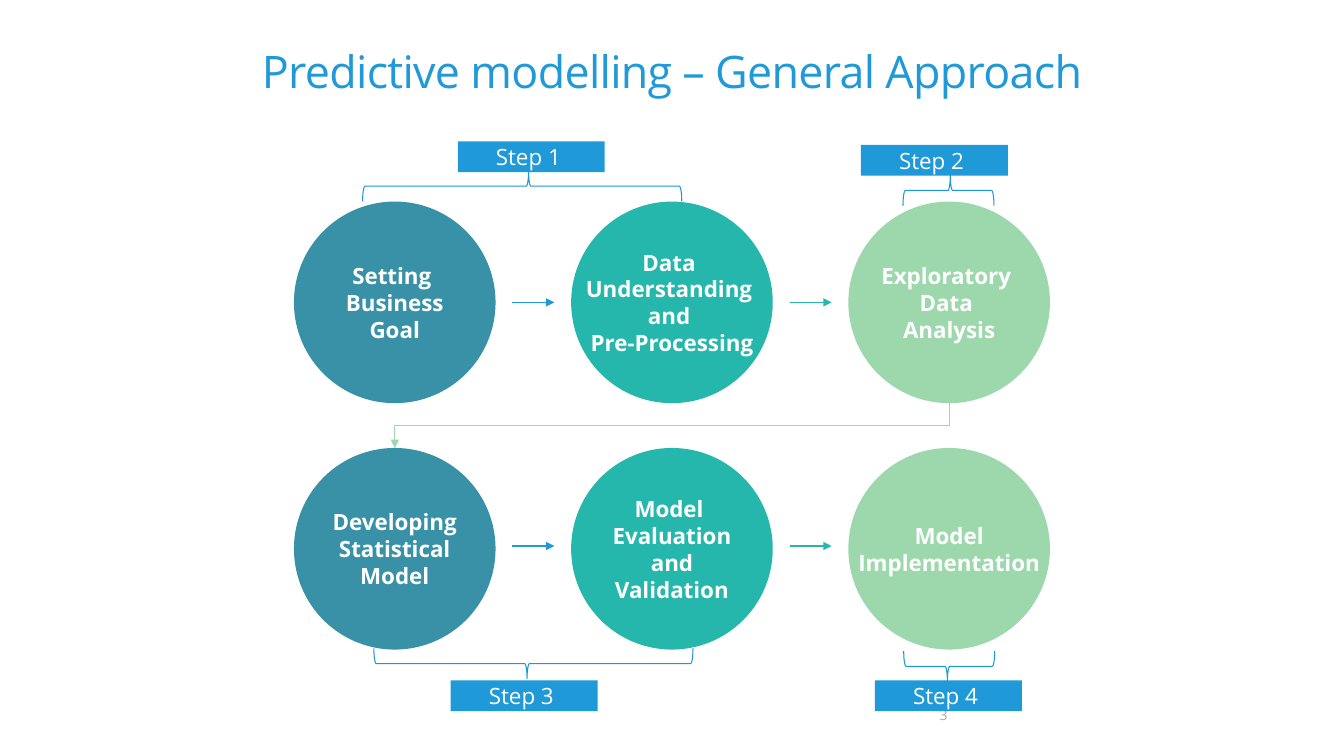
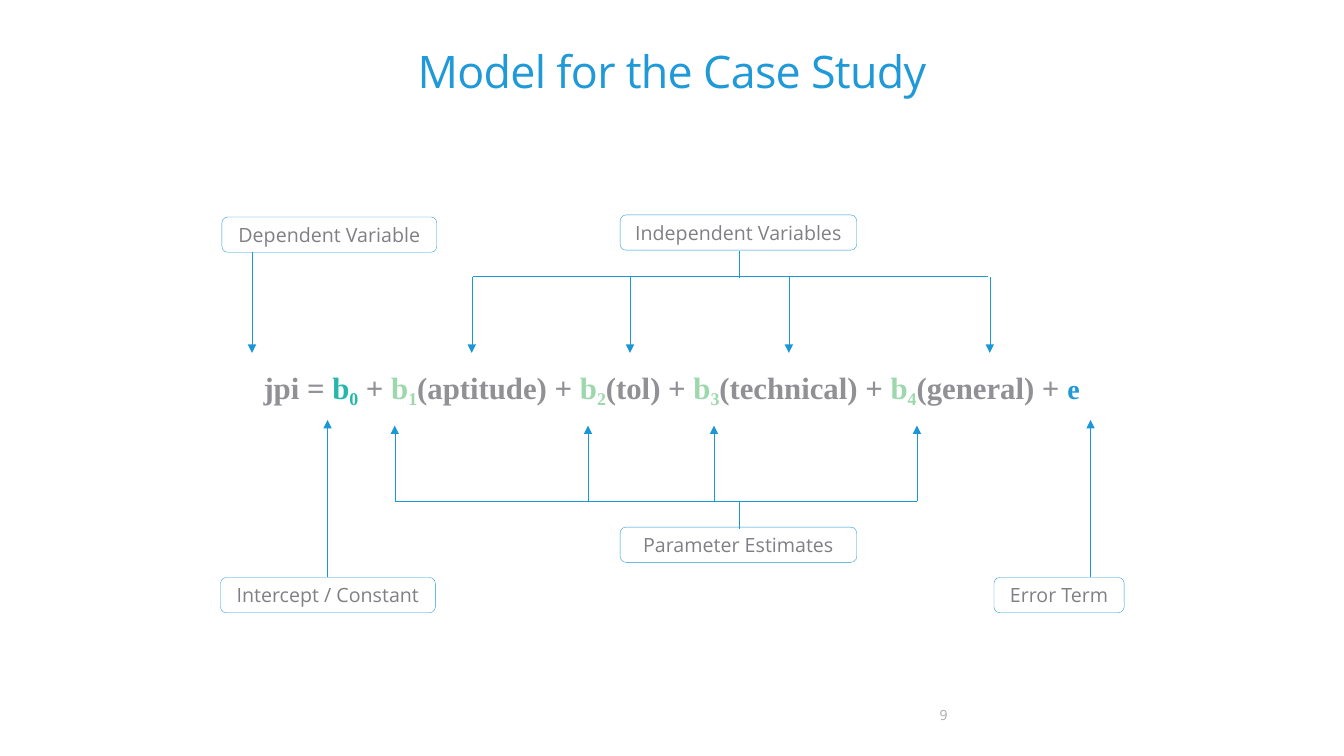
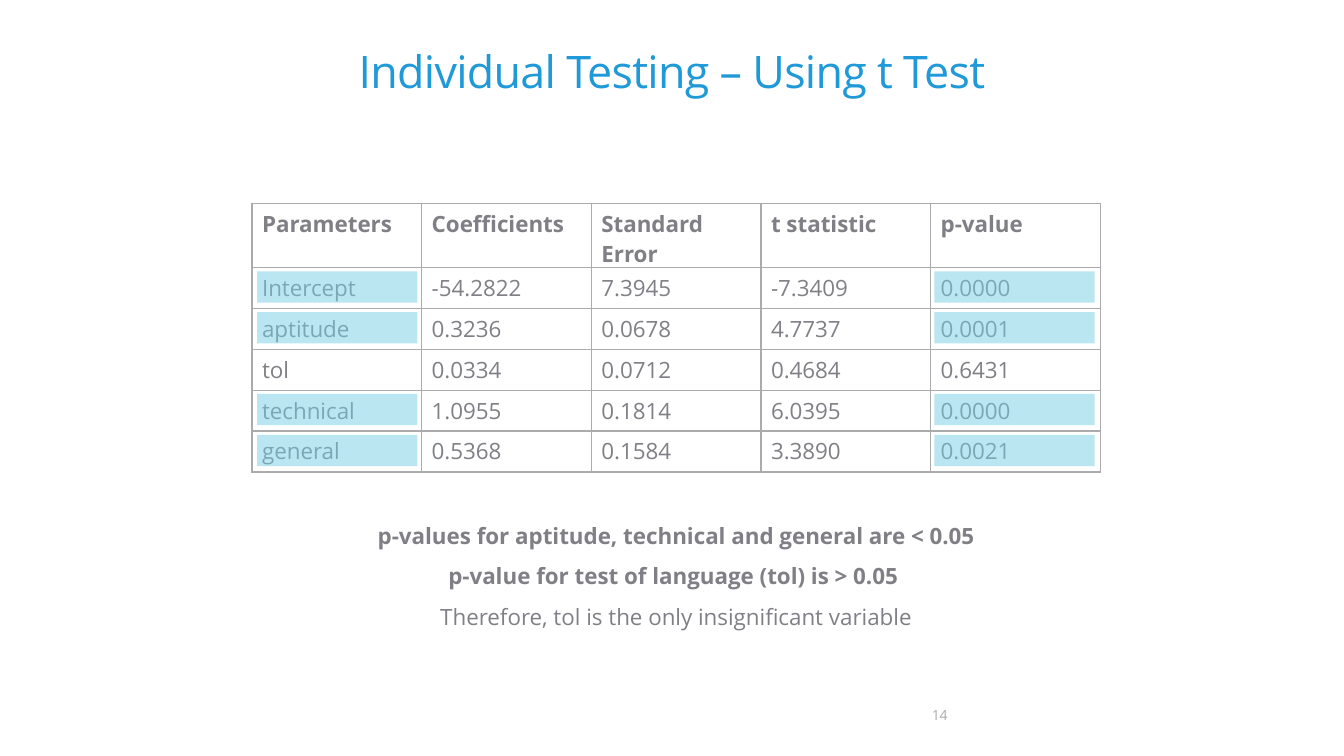
"""Builds three slides on predictive modelling: the approach, the model and the t test."""
import dataclasses
import typing

import lxml.etree
import pptx
import pptx.dml.color
import pptx.enum.shapes
import pptx.enum.text
import pptx.oxml.ns
import pptx.shapes.autoshape
import pptx.shapes.connector
import pptx.slide
import pptx.text.text
import pptx.util

Pt = pptx.util.Pt
qn = pptx.oxml.ns.qn
Kind = pptx.enum.shapes.MSO_SHAPE
Link = pptx.enum.shapes.MSO_CONNECTOR
Align = pptx.enum.text.PP_ALIGN
Anchor = pptx.enum.text.MSO_ANCHOR


@dataclasses.dataclass(frozen=True)
class Theme:
    blue: str = "2099D8"
    line: str = "1B97D8"
    steel: str = "3891A7"
    teal: str = "25B7AB"
    mint: str = "9DD8AD"
    sky: str = "75CFE3"
    white: str = "FFFFFF"
    text: str = "807F85"
    math: str = "919095"
    pale: str = "ABAAAD"
    sans: str = "Open Sans"
    serif: str = "Times New Roman"
    head: float = 32
    sum: float = 22
    error: float = 20
    body: float = 16
    label: float = 14
    page: float = 10
    thin: float = 0.25
    rule: float = 0.75


T = Theme()


class Box(typing.NamedTuple):
    left: float
    top: float
    width: float
    height: float


@dataclasses.dataclass(frozen=True)
class Run:
    text: str
    color: str = T.text
    size: float = T.body
    bold: bool = False
    font: str = T.sans
    marks: tuple[tuple[str, str], ...] = ()


class Disc(typing.NamedTuple):
    col: int
    row: int
    words: tuple[str, ...]


class Step(typing.NamedTuple):
    text: str
    left: float
    top: float
    mid: float
    level: float
    span: float
    turn: int


class Label(typing.NamedTuple):
    text: str
    left: float
    top: float
    width: float


Lines = list[list[Run]]


def put(item: typing.Any, vals: dict[str, typing.Any]) -> None:
    for name, val in vals.items():
        setattr(item, name, val)


def ink(code: str) -> pptx.dml.color.RGBColor:
    return pptx.dml.color.RGBColor.from_string(code)


def write(frame: pptx.text.text.TextFrame, lines: Lines, form: dict[str, typing.Any],
          align: Align = Align.CENTER, space: float | None = None) -> None:
    put(frame, {"word_wrap": True, "vertical_anchor": Anchor.MIDDLE} | form)
    for num, line in enumerate(lines):
        para = frame.add_paragraph() if num else frame.paragraphs[0]
        put(para, {"alignment": align, "line_spacing": space})
        for part in line:
            run = para.add_run()
            run.text = part.text
            put(run.font, {"name": part.font, "size": Pt(part.size), "bold": part.bold})
            run.font.color.rgb = ink(part.color)
            for key, val in part.marks:
                run.font._element.set(key, val)


def note(slide: pptx.slide.Slide, box: Box, lines: Lines, form: dict[str, typing.Any],
         align: Align = Align.CENTER, space: float | None = None) -> None:
    write(slide.shapes.add_textbox(*map(Pt, box)).text_frame, lines, form, align, space)


def shape(slide: pptx.slide.Slide, kind: Kind, box: Box, fill: str | None = None,
          edge: str | None = None, width: float = T.rule) -> pptx.shapes.autoshape.Shape:
    item = slide.shapes.add_shape(kind, *map(Pt, box))
    item.shadow.inherit = False
    if fill:
        item.fill.solid()
        item.fill.fore_color.rgb = ink(fill)
    else:
        item.fill.background()
    if edge:
        item.line.color.rgb = ink(edge)
        item.line.width = Pt(width)
    else:
        item.line.fill.background()
    return item


def wire(slide: pptx.slide.Slide, ends: Box, color: str = T.line, width: float = T.rule,
         head: bool = False, kind: Link = Link.STRAIGHT) -> pptx.shapes.connector.Connector:
    item = slide.shapes.add_connector(kind, *map(Pt, ends))
    item.line.color.rgb = ink(color)
    item.line.width = Pt(width)
    props = item.element.spPr
    if head:
        lxml.etree.SubElement(props.find(qn("a:ln")), qn("a:tailEnd"), type="triangle")
    lxml.etree.SubElement(props, qn("a:effectLst"))
    return item


def start(deck: typing.Any, title: str, page: int) -> pptx.slide.Slide:
    slide = deck.slides.add_slide(deck.slide_layouts[6])
    flush = dict.fromkeys(("margin_left", "margin_top", "margin_right", "margin_bottom"), 0)
    head = Run(title, T.blue, T.head, marks=(("spc", "-50"),))
    note(slide, Box(156, 21.5, 648, 64), [[head]], flush, space=0.86)
    note(slide, Box(516, 492, 168, 37), [[Run(str(page), T.pale, T.page)]], {}, Align.RIGHT)
    return slide


def plan(deck: typing.Any) -> None:
    slide = start(deck, "Predictive modelling – General Approach", 3)
    left, pitch, size = 210, 198, 144
    tops = (144, 320)
    fills = (T.steel, T.teal, T.mint)
    discs = (
        Disc(0, 0, ("Setting ", "Business", "Goal")),
        Disc(1, 0, ("Data ", "Understanding ", "and ", "Pre-Processing")),
        Disc(2, 0, ("Exploratory ", "Data ", "Analysis")),
        Disc(0, 1, ("Developing", "Statistical", "Model")),
        Disc(1, 1, ("Model ", "Evaluation", "and", "Validation")),
        Disc(2, 1, ("Model", "Implementation")),
    )
    for disc in discs:
        box = Box(left + pitch * disc.col, tops[disc.row], size, size)
        item = shape(slide, Kind.OVAL, box, fills[disc.col])
        lines = [[Run(word, T.white, bold=True)] for word in disc.words]
        write(item.text_frame, lines, {"word_wrap": False})
    for level in (216, 390):
        for col, color in enumerate((T.blue, T.teal)):
            tail = 366 + pitch * col
            wire(slide, Box(tail, level, tail + 30, level), color, head=True)

    drop, reach = tops[1] - tops[0] - size, 2 * pitch
    mid, level = left + pitch + size / 2, tops[1] - drop / 2
    ends = Box(mid - drop / 2, level - reach / 2, mid + drop / 2, level + reach / 2)
    bend = wire(slide, ends, T.mint, head=True, kind=Link.ELBOW)
    bend.element.spPr.find(qn("a:xfrm")).set("rot", "5400000")

    steps = (
        Step("Step 1 ", 327, 101, 373, 133, 228, 270),
        Step("Step 2 ", 615, 103.5, 677.5, 136, 65, 270),
        Step("Step 3 ", 322, 486, 381, 474, 228, 90),
        Step("Step 4 ", 625, 486, 678, 476, 65, 90),
    )
    deep = 21.6
    for step in steps:
        box = Box(step.mid - deep / 2, step.level - step.span / 2, deep, step.span)
        brace = shape(slide, Kind.RIGHT_BRACE, box, edge=T.line)
        brace.rotation = step.turn
        brace.adjustments[0], brace.adjustments[1] = 0.08, 0.52
        tag = shape(slide, Kind.RECTANGLE, Box(step.left, step.top, 105, 22), T.blue)
        write(tag.text_frame, [[Run(step.text, T.white)]], {})


def model(deck: typing.Any) -> None:
    slide = start(deck, "Model for the Case Study", 9)

    def term(text: str, color: str = T.math, size: float = T.sum, **marks: str) -> Run:
        return Run(text, color, size, True, T.serif, tuple(marks.items()))

    def beta(num: int, color: str) -> list[Run]:
        return [term("b", color), term(str(num), color, baseline="-20000")]

    line = [term("jpi = "), *beta(0, T.teal), term(" + ")]
    for num, name in enumerate(("aptitude", "tol", "technical", "general"), 1):
        line += [*beta(num, T.mint), term(f"({name}) + ")]
    line.append(term("e", T.blue, T.error, spc="300"))
    note(slide, Box(157.5, 250.5, 644.5, 54), [line], {})

    labels = (
        Label("Dependent Variable", 158.5, 155, 153.5),
        Label("Independent Variables", 443, 153.5, 169),
        Label("Intercept / Constant", 157.5, 412.5, 153.5),
        Label("Parameter Estimates", 443, 376.5, 169),
        Label("Error Term", 710, 412.5, 93),
    )
    for label in labels:
        box = Box(label.left, label.top, label.width, 25.2)
        item = shape(slide, Kind.ROUNDED_RECTANGLE, box, T.white, T.blue, T.thin)
        write(item.text_frame, [[Run(label.text, size=T.label)]], {})

    groups = (
        ((180,), 180, 252),
        ((337, 450, 563.5, 707), 198, 252),
        ((234, 779), 412.5, 300),
        ((282, 420, 510, 655), 358, 304),
    )
    for places, tail, tip in groups:
        for left in places:
            wire(slide, Box(left, tail, left, tip), width=T.thin, head=True)
    for ends in (Box(338, 197.5, 706, 197.5), Box(528, 198.5, 528, 179),
                 Box(282, 358.5, 655, 358.5), Box(528, 378, 528, 358.5)):
        wire(slide, ends)


def edge(cell: typing.Any) -> None:
    cell.fill.background()
    props = cell._tc.get_or_add_tcPr()
    for num, side in enumerate(("lnL", "lnR", "lnT", "lnB")):
        line = lxml.etree.Element(qn(f"a:{side}"), w=str(Pt(1)))
        fill = lxml.etree.SubElement(line, qn("a:solidFill"))
        lxml.etree.SubElement(fill, qn("a:srgbClr"), val=T.pale)
        props.insert(num, line)


def test(deck: typing.Any) -> None:
    slide = start(deck, "Individual Testing – Using t Test", 14)
    lines = [
        [Run("p-values for aptitude, technical and general are < 0.05", bold=True)],
        [Run("p-value for test of language (tol) is > 0.05 ", bold=True)],
        [Run("Therefore, tol is the only insignificant variable")],
    ]
    note(slide, Box(156, 360, 654, 94), lines, {"vertical_anchor": Anchor.TOP}, space=1.5)

    rows = (
        ("Parameters", "Coefficients", "Standard Error", "t statistic", "p-value"),
        ("Intercept", "-54.2822", "7.3945", "-7.3409", "0.0000"),
        ("aptitude", "0.3236", "0.0678", "4.7737", "0.0001"),
        ("tol", "0.0334", "0.0712", "0.4684", "0.6431"),
        ("technical", "1.0955", "0.1814", "6.0395", "0.0000"),
        ("general", "0.5368", "0.1584", "3.3890", "0.0021"),
    )
    high, wide = 29.2, 121.2
    box = Box(180, 145.5, wide * len(rows[0]), high * len(rows))
    grid = slide.shapes.add_table(len(rows), len(rows[0]), *map(Pt, box)).table
    put(grid, {"first_row": False, "horz_banding": False})
    for row, texts in enumerate(rows):
        for col, text in enumerate(texts):
            cell = grid.cell(row, col)
            write(cell.text_frame, [[Run(text, bold=row == 0)]], {}, Align.LEFT)
            cell.vertical_anchor = Anchor.TOP
            edge(cell)

    for left in (183.6, 667.5):
        for row in (0, 1, 3, 4):
            band = shape(slide, Kind.RECTANGLE, Box(left, 193.8 + high * row, 114.5, 22.3), T.sky)
            tint = band.element.spPr.find(f".//{qn('a:srgbClr')}")
            lxml.etree.SubElement(tint, qn("a:alpha"), val="50000")


def main() -> None:
    deck = pptx.Presentation()
    put(deck, {"slide_width": Pt(960), "slide_height": Pt(540)})
    for draw in (plan, model, test):
        draw(deck)
    deck.save("out.pptx")


if __name__ == "__main__":
    main()
